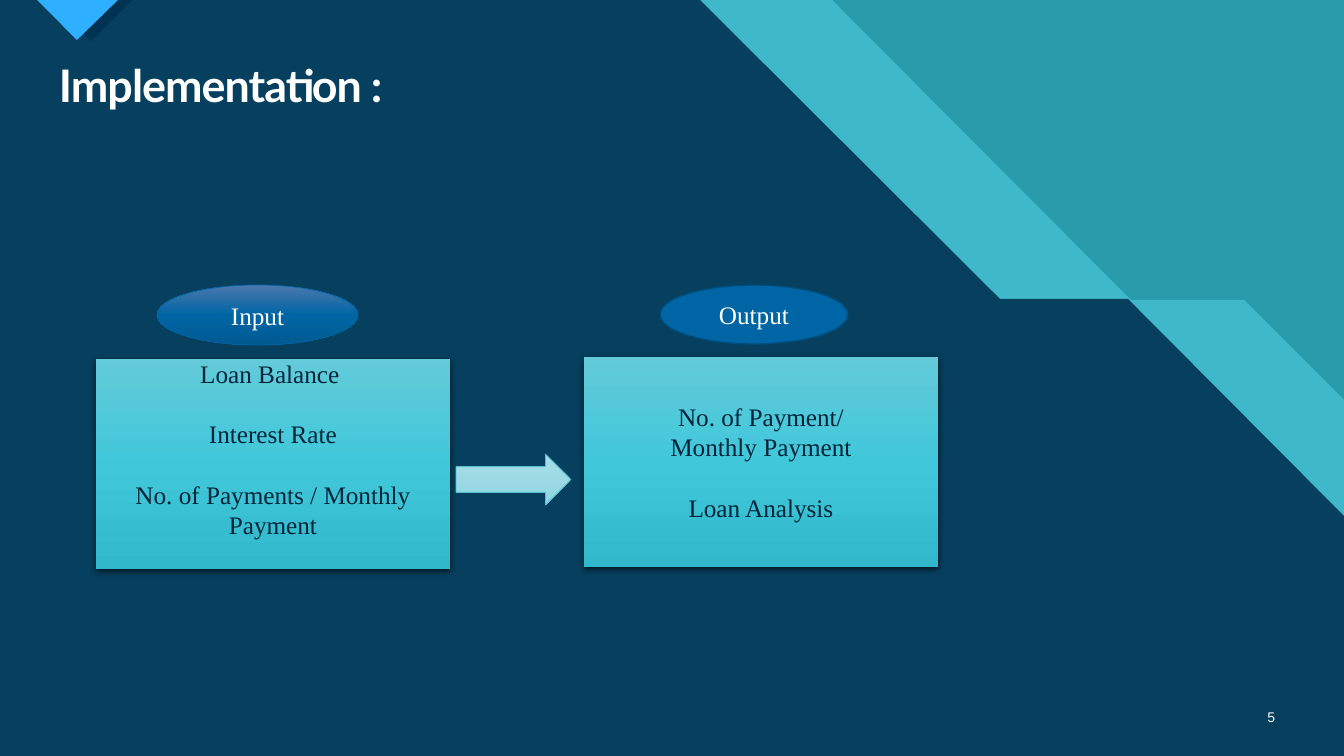
from copy import deepcopy

from lxml.etree import SubElement
from pptx import Presentation
from pptx.dml.color import RGBColor as Rgb
from pptx.enum.shapes import MSO_SHAPE as Shape
from pptx.enum.text import MSO_ANCHOR as Anchor, PP_ALIGN as Align
from pptx.oxml.ns import qn
from pptx.util import Emu, Pt

EMU_PER_PX = 914400 / 100.8
SLIDE_W, SLIDE_H = 1344, 756
LINE = 21.6
COLORS = {
    "teal": "299CAB", "band": "3FB9C9", "navy": "06405E",
    "notch": "2FAFFF", "notch_shade": "003352",
    "white": "FFFFFF", "ink": "00243A", "arrow_line": "47C3D3",
    "input": "0065A4", "output_line": "004B79", "black": "000000",
}
GRADIENTS = {
    "card": ("63CAD9", "40C8DA", "31B8CA"),
    "arrow": ("AADFE8", "9CD9E3", "89D6E3"),
    "input": ("4B78AE", "0065A4", "005A92"),
}
SERIF = {"name": "Times New Roman", "size": Pt(18)}


def px(length):
    """Turn pixels into EMU."""
    return Emu(round(length * EMU_PER_PX))


def color(name):
    """Look up a named colour."""
    return Rgb.from_string(COLORS[name])


def set_all(target, values):
    """Set each attribute in values on target."""
    for name, value in values.items():
        setattr(target, name, value)


def paint(shape, fill=None, gradient=None, line=None, line_width=0.5):
    """Give a shape its fill and outline, without a shadow."""
    shape.shadow.inherit = False
    if gradient:
        shape.fill.gradient()
        shape.fill.gradient_angle = 270
        stop_list = shape._element.spPr.find(qn("a:gradFill")).find(qn("a:gsLst"))
        stop_list.insert(1, deepcopy(stop_list[0]))
        stops = zip(shape.fill.gradient_stops, GRADIENTS[gradient], (0, 0.5, 1))
        for stop, shade, position in stops:
            stop.color.rgb = Rgb.from_string(shade)
            stop.position = position
    else:
        shape.fill.solid()
        shape.fill.fore_color.rgb = color(fill)
    if line:
        shape.line.color.rgb = color(line)
        shape.line.width = Pt(line_width)
    else:
        shape.line.fill.background()


def drop_shadow(shape):
    """Put a soft shadow just below a shape."""
    effects = shape._element.spPr.find(qn("a:effectLst"))
    shadow = SubElement(effects, qn("a:outerShdw"), blurRad=str(Pt(4.5)),
                        dist=str(Pt(1.5)), dir="5400000", rotWithShape="0")
    shade = SubElement(shadow, qn("a:srgbClr"), val=COLORS["black"])
    SubElement(shade, qn("a:alpha"), val="63000")


def write(shape, lines, font, ink, align=Align.CENTER, spacing=None, **frame_format):
    """Write (text, blank lines before) pairs into a shape."""
    frame = shape.text_frame
    set_all(frame, {"word_wrap": True, "vertical_anchor": Anchor.MIDDLE, **frame_format})
    for index, (text, gap) in enumerate(lines):
        paragraph = frame.paragraphs[0] if index == 0 else frame.add_paragraph()
        set_all(paragraph, {"alignment": align, "line_spacing": spacing,
                            "space_before": Pt(gap * LINE)})
        run = paragraph.add_run()
        run.text = text
        set_all(run.font, font)
        run.font.color.rgb = color(ink)


def add_box(slide, kind, box, **look):
    """Add a painted preset shape in a pixel box."""
    shape = slide.shapes.add_shape(kind, *map(px, box))
    paint(shape, **look)
    return shape


def draw_backdrop(slide, left, top, width, height):
    """Draw the teal ground, the diagonal layers and the top notch."""
    slide.background.fill.solid()
    slide.background.fill.fore_color.rgb = color("teal")
    right, bottom = width, height
    corners = [(right, bottom), (0, bottom)]
    layers = [
        ("band", [(0, 0), (832, 0), (1131, 300), (1244, 300), (right, 400)] + corners),
        ("navy", [(0, 0), (700, 0), (1000, 299), (1128, 299), (right, 516)] + corners),
        ("notch_shade", [(48, 0), (132, 0), (91, 41)]),
        ("notch", [(37, 0), (118, 0), (77, 40)]),
    ]
    for fill, points in layers:
        start, *rest = [(left + x, top + y) for x, y in points]
        outline = slide.shapes.build_freeform(*start, scale=EMU_PER_PX)
        outline.add_line_segments(rest, close=True)
        paint(outline.convert_to_shape(), fill=fill)


def add_title(slide, left, top, width, height):
    """Add the slide heading."""
    heading = slide.shapes.add_textbox(*map(px, (left, top, width, height)))
    write(heading, [("Implementation :", 0)],
          {"name": "Lato", "size": Pt(32), "bold": True}, "white",
          align=Align.LEFT, spacing=0.9, vertical_anchor=Anchor.TOP)
    heading.text_frame.paragraphs[0].runs[0].font._element.set("spc", "-70")


def add_page_number(slide, left, top, width, height):
    """Add the page number at the lower right."""
    number = slide.shapes.add_textbox(*map(px, (left, top, width, height)))
    write(number, [("5", 0)], {"name": "Arial", "size": Pt(10)}, "white",
          align=Align.RIGHT)


def add_stage(slide, left, top, label, label_box, label_look, lines, bottom=5):
    """Add a card of lines with its oval label above."""
    card = add_box(slide, Shape.RECTANGLE, (left, top, 354, 210), gradient="card")
    drop_shadow(card)
    write(card, lines, SERIF, "ink", spacing=Pt(LINE),
          margin_top=px(min(bottom, 5) if bottom == 5 else 0), margin_bottom=px(bottom))
    x, y, width, height = label_box
    oval = add_box(slide, Shape.OVAL, (left + x, top + y, width, height), **label_look)
    write(oval, [(label, 0)], SERIF, "white")


def add_flow(slide, left, top):
    """Add the input stage, the arrow and the output stage."""
    add_stage(slide, left, top + 2, "Input", (61, -74, 201, 60),
              {"gradient": "input", "line": "input"},
              [("Loan Balance ", 0), ("Interest Rate", 1),
               ("No. of Payments / Monthly Payment", 1)], bottom=30)
    add_stage(slide, left + 488, top, "Output", (76, -72, 188, 59),
              {"fill": "input", "line": "output_line", "line_width": 1},
              [("No. of Payment/", 0), ("Monthly Payment", 0), ("Loan Analysis", 1)])
    add_box(slide, Shape.RIGHT_ARROW, (left + 360, top + 97, 115, 51),
            gradient="arrow", line="arrow_line")


def main():
    """Build and save the slide."""
    deck = Presentation()
    set_all(deck, {"slide_width": px(SLIDE_W), "slide_height": px(SLIDE_H)})
    slide = deck.slides.add_slide(deck.slide_layouts[6])
    draw_backdrop(slide, 0, 0, SLIDE_W, SLIDE_H)
    add_title(slide, 49, 59, 1236, 59)
    add_flow(slide, 96, 357)
    add_page_number(slide, 1241, 697, 44, 40)
    deck.save("out.pptx")


main()
